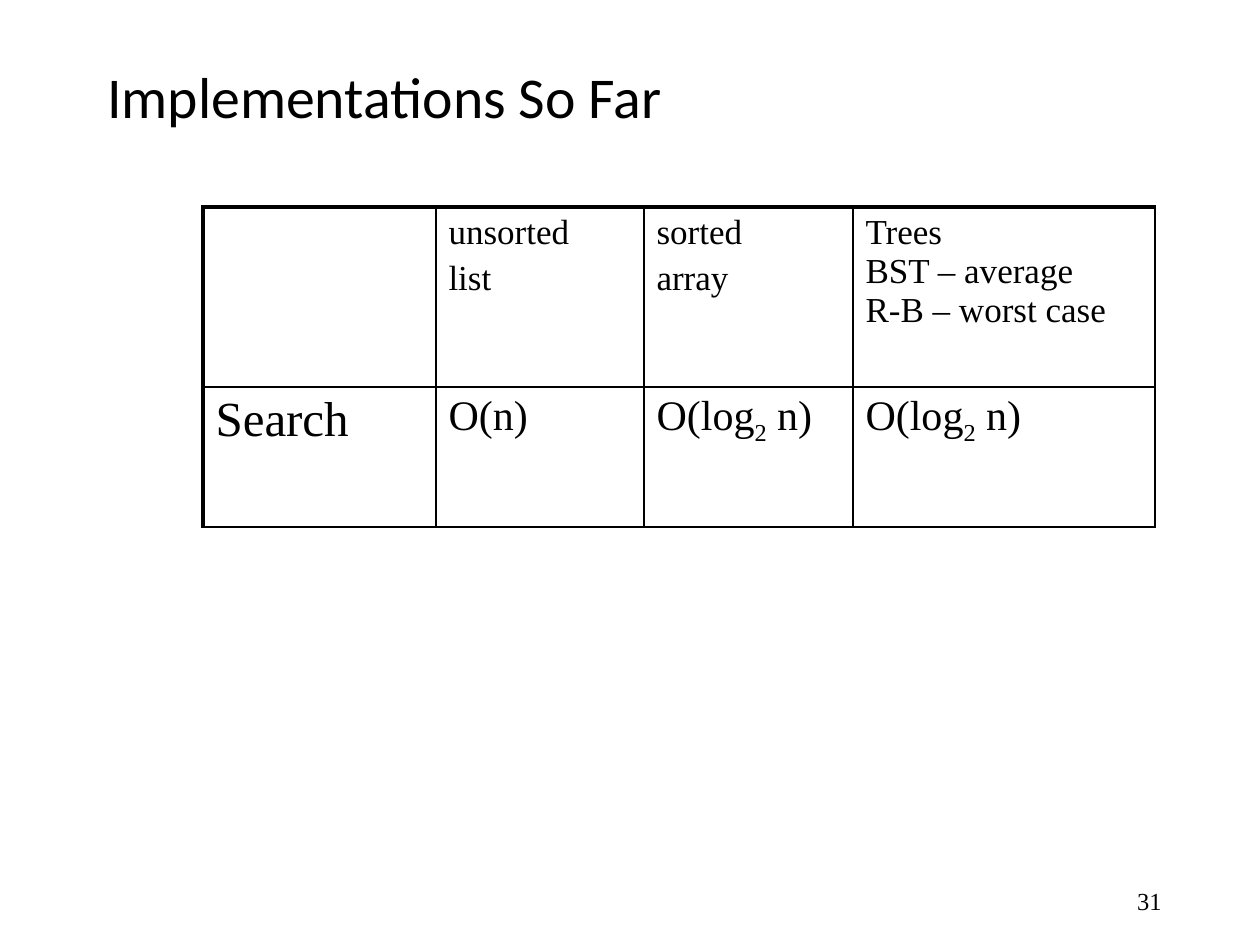
from dataclasses import dataclass

from pptx import Presentation
from pptx.dml.color import RGBColor
from pptx.enum.text import MSO_ANCHOR, PP_ALIGN
from pptx.oxml.xmlchemy import OxmlElement
from pptx.util import Pt

LEFT, RIGHT = PP_ALIGN.LEFT, PP_ALIGN.RIGHT
MIDDLE = MSO_ANCHOR.MIDDLE
PX_PER_INCH = 126


@dataclass(frozen=True)
class Theme:
    ink: str = "000000"
    heading_font: str = "Calibri"
    body_font: str = "Times New Roman"
    title_size: int = 33
    row_label_size: int = 28
    value_size: int = 24
    column_label_size: int = 20
    number_size: int = 14
    thin: float = 1
    thick: float = 2.25


THEME = Theme()

# Each cell is a font size and its paragraphs; "_" precedes a subscript digit
LOG_TIME = (THEME.value_size, ["O(log_2 n)"])
ROWS = [
    [
        (THEME.column_label_size, []),
        (THEME.column_label_size, ["unsorted", "list"]),
        (THEME.column_label_size, ["sorted", "array"]),
        (THEME.column_label_size, ["Trees\vBST – average\vR-B – worst case"]),
    ],
    [
        (THEME.row_label_size, ["Search"]),
        (THEME.value_size, ["O(n)"]),
        LOG_TIME,
        LOG_TIME,
    ],
]
COLUMN_WIDTHS = [233, 208, 209, 302]
ROW_HEIGHTS = [180, 140]


def px(length):
    return length * 914400 // PX_PER_INCH


def style_font(paragraph, font_name, size):
    paragraph.font.name = font_name
    paragraph.font.size = Pt(size)
    paragraph.font.color.rgb = RGBColor.from_string(THEME.ink)


def add_label(slide, box, text, font_name, size, alignment=LEFT):
    shape = slide.shapes.add_textbox(*map(px, box))
    frame = shape.text_frame
    frame.word_wrap = True
    frame.vertical_anchor = MIDDLE
    paragraph = frame.paragraphs[0]
    paragraph.text = text
    paragraph.alignment = alignment
    style_font(paragraph, font_name, size)
    return paragraph


def add_title(slide, box):
    paragraph = add_label(slide, box, "Implementations So Far",
                          THEME.heading_font, THEME.title_size)
    paragraph.line_spacing = 0.9


def add_page_number(slide, box):
    add_label(slide, box, "31", THEME.body_font, THEME.number_size, RIGHT)


def set_borders(cell, widths):
    properties = cell._tc.get_or_add_tcPr()
    for side, width in widths.items():
        line = OxmlElement(f"a:ln{side}")
        line.set("w", str(Pt(width)))
        fill = OxmlElement("a:solidFill")
        color = OxmlElement("a:srgbClr")
        color.set("val", THEME.ink)
        fill.append(color)
        line.append(fill)
        properties.append(line)


def fill_cell(cell, size, lines):
    frame = cell.text_frame
    for index, line in enumerate(lines):
        paragraph = frame.add_paragraph() if index else frame.paragraphs[0]
        if index:
            paragraph.space_before = Pt(size * 0.2)
        before, mark, after = line.partition("_")
        paragraph.text = before
        if mark:
            subscript = paragraph.add_run()
            subscript.text = after[0]
            subscript._r.get_or_add_rPr().set("baseline", "-25000")
            paragraph.add_run().text = after[1:]
        style_font(paragraph, THEME.body_font, size)


def add_cost_table(slide, left, top):
    box = (left, top, sum(COLUMN_WIDTHS), sum(ROW_HEIGHTS))
    frame = slide.shapes.add_table(len(ROWS), len(COLUMN_WIDTHS), *map(px, box))
    table = frame.table
    table.first_row = False
    table.horz_banding = False
    for column, width in zip(table.columns, COLUMN_WIDTHS):
        column.width = px(width)
    for row, height in zip(table.rows, ROW_HEIGHTS):
        row.height = px(height)

    # The left and top outer edges are heavier than the other lines
    for row_index, row in enumerate(ROWS):
        for column_index, (size, lines) in enumerate(row):
            cell = table.cell(row_index, column_index)
            fill_cell(cell, size, lines)
            set_borders(cell, {
                "L": THEME.thin if column_index else THEME.thick,
                "R": THEME.thin,
                "T": THEME.thin if row_index else THEME.thick,
                "B": THEME.thin,
            })
            cell.fill.background()


def main():
    presentation = Presentation()
    presentation.slide_width = px(1260)
    presentation.slide_height = px(945)
    slide = presentation.slides.add_slide(presentation.slide_layouts[6])
    add_page_number(slide, (890, 876, 284, 50))
    add_title(slide, (95, 21, 1071, 158))
    add_cost_table(slide, 203, 207)
    presentation.save("out.pptx")


if __name__ == "__main__":
    main()
